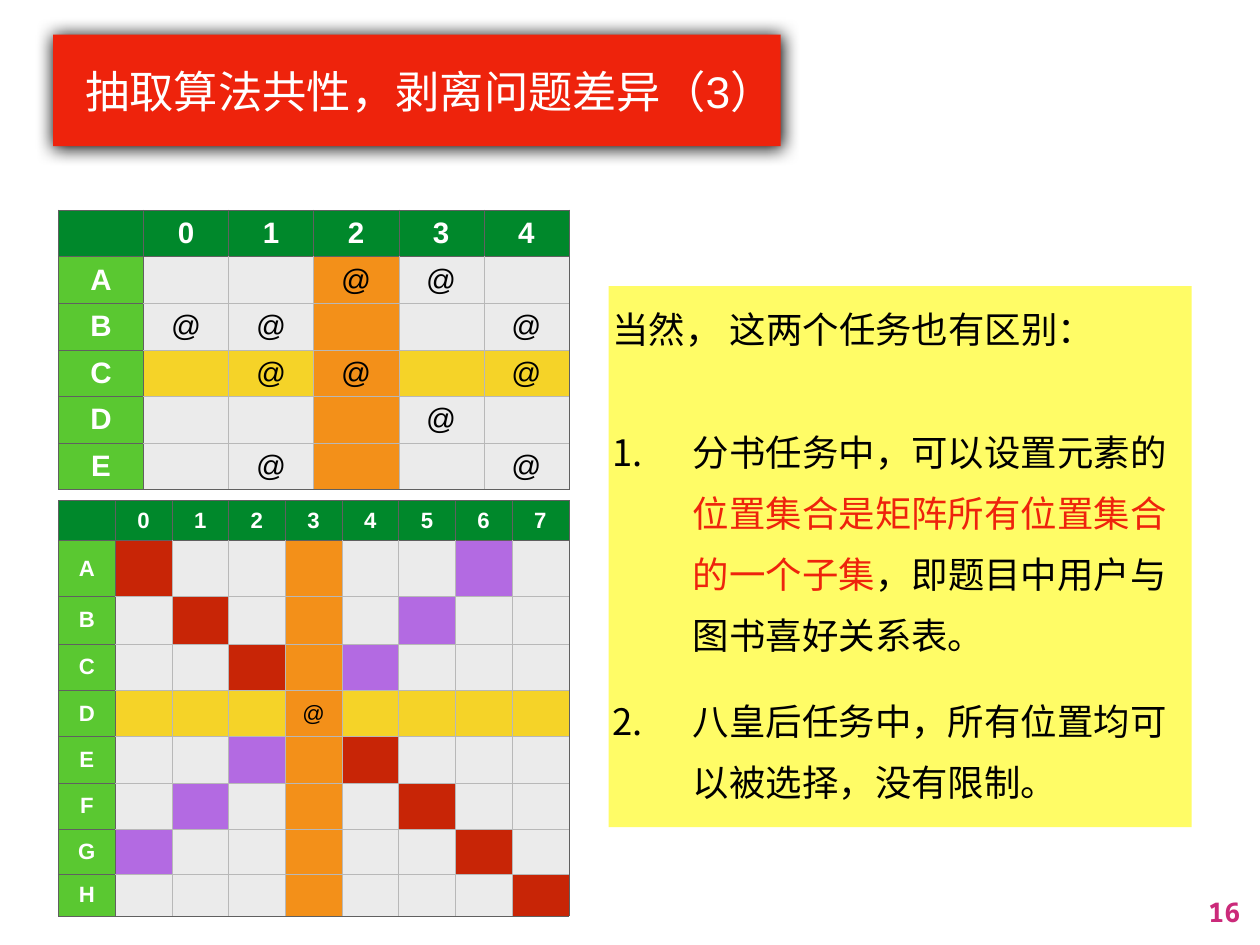
import dataclasses
import typing

import lxml.etree
import pptx
import pptx.dml.color
import pptx.enum.shapes
import pptx.enum.text
import pptx.oxml.ns
import pptx.util

WIDE = pptx.util.Inches(14.22)
HIGH = pptx.util.Inches(10.67)
ALIGN = pptx.enum.text.PP_ALIGN
ANCHOR = pptx.enum.text.MSO_ANCHOR
DARK, PALE = "606060", "B8B8B8"
HEAD, SIDE, PLAIN = "00882B", "5AC831", "EBEBEB"
LANE, BAND, FALL, RISE = "F39019", "F5D328", "C82506", "B36AE2"
RED, WHITE, BLACK = "EE230C", "FFFFFF", "000000"


@dataclasses.dataclass
class Area:
    """A box given in percent of the slide's width and height."""
    left: float
    top: float
    width: float
    height: float

    def frame(self) -> tuple[int, ...]:
        """Return left, top, width and height as slide lengths."""
        return (int(WIDE * self.left / 100), int(HIGH * self.top / 100),
                int(WIDE * self.width / 100), int(HIGH * self.height / 100))


@dataclasses.dataclass
class Board:
    """A matrix with one crossed row and column and its marked cells."""
    area: Area
    rows: list[int]
    size: int
    cross: int
    marks: list[str]
    slants: bool


@dataclasses.dataclass
class Item:
    """A paragraph of coloured pieces, with a number if it is listed."""
    words: list[tuple[str, str]]
    before: int
    listed: bool


BOARDS = [
    Board(Area(4.64, 52.95, 40.51, 43.96), [45, 63, 53, 52, 52, 52, 52, 50, 47],
          18, 3, ["", "", "", "3", "", "", "", ""], True),
    Board(Area(4.64, 22.21, 40.51, 29.62), [1] * 6,
          24, 2, ["23", "014", "124", "3", "14"], False),
]
ITEMS = [
    Item([("当然， 这两个任务也有区别：", BLACK)], 0, False),
    Item([("分书任务中，可以设置元素的", BLACK),
          ("位置集合是矩阵所有位置集合的一个子集", RED),
          ("，即题目中用户与图书喜好关系表。", BLACK)], 50, True),
    Item([("八皇后任务中，所有位置均可以被选择，没有限制。", BLACK)], 20, True),
]


def tint(code: str) -> pptx.dml.color.RGBColor:
    """Turn a hex string into a colour."""
    return pptx.dml.color.RGBColor.from_string(code)


def paint(fill: typing.Any, code: str) -> None:
    """Fill with one solid colour."""
    fill.solid()
    fill.fore_color.rgb = tint(code)


def dress(thing: typing.Any, look: dict[str, typing.Any]) -> None:
    """Set each named attribute on the thing."""
    for name, value in look.items():
        setattr(thing, name, value)


def node(root: typing.Any, tag: str, **values: typing.Any) -> typing.Any:
    """Append a drawing element with its attributes."""
    return lxml.etree.SubElement(root, pptx.oxml.ns.qn(tag),
                                 {key: str(val) for key, val in values.items()})


def inset(inches: float) -> dict[str, int]:
    """Give equal margins on all four sides."""
    return {f"margin_{side}": pptx.util.Inches(inches)
            for side in ("left", "top", "right", "bottom")}


def write(para: typing.Any, text: str, face: str, size: float, code: str,
          bold: bool = False) -> None:
    """Add one run of text in the given font."""
    run = para.add_run()
    run.text = text
    dress(run.font, {"name": face, "size": pptx.util.Pt(size), "bold": bold})
    run.font.color.rgb = tint(code)


def panel(slide: typing.Any, area: Area, code: str, pad: float, anchor: typing.Any) -> typing.Any:
    """Draw a plain filled box ready for text."""
    shape = slide.shapes.add_shape(pptx.enum.shapes.MSO_SHAPE.RECTANGLE, *area.frame())
    shape.shadow.inherit = False
    paint(shape.fill, code)
    shape.line.fill.background()
    dress(shape.text_frame, {"word_wrap": True, "vertical_anchor": anchor, **inset(pad)})
    return shape


def title(slide: typing.Any) -> None:
    """Draw the red heading with its soft shadow."""
    shape = panel(slide, Area(4.22, 3.66, 57.74, 11.81), RED, 0.07, ANCHOR.MIDDLE)
    glow = shape._element.spPr.find(pptx.oxml.ns.qn("a:effectLst"))
    cast = node(glow, "a:outerShdw", blurRad=pptx.util.Pt(15), dist=pptx.util.Pt(0.7),
                dir=90 * 60000, algn="ctr", rotWithShape=0)
    node(cast, "a:srgbClr", val=BLACK)
    para = shape.text_frame.paragraphs[0]
    para.alignment = ALIGN.RIGHT
    write(para, "抽取算法共性，剥离问题差异（3）", "Arial", 36, WHITE)


def notes(slide: typing.Any) -> None:
    """Draw the yellow box with its numbered points."""
    frame = panel(slide, Area(48.31, 30.27, 46.27, 57.26), "FFFC66", 0.04, ANCHOR.TOP).text_frame
    for index, item in enumerate(ITEMS):
        para = frame.add_paragraph() if index else frame.paragraphs[0]
        if item.listed:
            props = para._p.get_or_add_pPr()
            indent = pptx.util.Inches(0.91)
            props.set("marL", str(indent))
            props.set("indent", str(-indent))
            node(props, "a:buAutoNum", type="arabicPeriod")
        dress(para, {"alignment": ALIGN.LEFT, "line_spacing": 1.4,
                     "space_before": pptx.util.Pt(item.before)})
        for text, code in item.words:
            write(para, text, "Calibri", 29.6, code)


def tone(board: Board, row: int, col: int) -> str:
    """Choose a cell's fill from its place on the board."""
    if row == 0:
        return HEAD
    if col == 0:
        return SIDE
    if col - 1 == board.cross:
        return LANE
    if row - 1 == board.cross:
        return BAND
    if board.slants and row == col:
        return FALL
    if board.slants and row + col == 2 * (board.cross + 1):
        return RISE
    return PLAIN


def edge(cell: typing.Any, row: int, col: int, last: int) -> None:
    """Draw dark rules round heads and rim, pale ones inside."""
    head = row == 0 or col == 0
    rims = {"L": col == 1, "R": col == last, "T": row == 1, "B": row == last}
    for side, rim in rims.items():
        line = node(cell._tc.get_or_add_tcPr(), f"a:ln{side}", w=pptx.util.Pt(0.25))
        node(node(line, "a:solidFill"), "a:srgbClr", val=DARK if head or rim else PALE)


def label(board: Board, row: int, col: int) -> str:
    """Name a head cell, or mark a chosen one."""
    if row and col:
        return "@" if str(col - 1) in board.marks[row - 1] else ""
    if row:
        return "ABCDEFGH"[row - 1]
    return str(col - 1) if col else ""


def matrix(slide: typing.Any, board: Board) -> None:
    """Draw one board as a table."""
    count = len(board.rows)
    left, top, width, height = board.area.frame()
    table = slide.shapes.add_table(count, count, left, top, width, height).table
    dress(table, {"first_row": False, "horz_banding": False})
    for row, share in enumerate(board.rows):
        table.rows[row].height = int(height * share / sum(board.rows))
        table.columns[row].width = int(width / count)
        for col in range(count):
            cell = table.cell(row, col)
            edge(cell, row, col, count - 1)
            paint(cell.fill, tone(board, row, col))
            dress(cell, {"vertical_anchor": ANCHOR.MIDDLE, **inset(0.06)})
            para = cell.text_frame.paragraphs[0]
            para.alignment = ALIGN.CENTER
            head = row == 0 or col == 0
            text = label(board, row, col)
            if text:
                write(para, text, "Arial", board.size, WHITE if head else BLACK, head)


def folio(slide: typing.Any) -> None:
    """Write the page number in the corner."""
    frame = slide.shapes.add_textbox(*Area(95.29, 94.1, 3.66, 4.69).frame()).text_frame
    dress(frame, {"word_wrap": False, **inset(0.07)})
    frame.paragraphs[0].alignment = ALIGN.RIGHT
    write(frame.paragraphs[0], "16", "Noto Sans Mono", 22, "CB2A7A", True)


def main() -> None:
    """Build the slide and save it."""
    deck = pptx.Presentation()
    dress(deck, {"slide_width": WIDE, "slide_height": HIGH})
    slide = deck.slides.add_slide(deck.slide_layouts[6])
    folio(slide)
    notes(slide)
    title(slide)
    for board in BOARDS:
        matrix(slide, board)
    deck.save("out.pptx")


if __name__ == "__main__":
    main()
